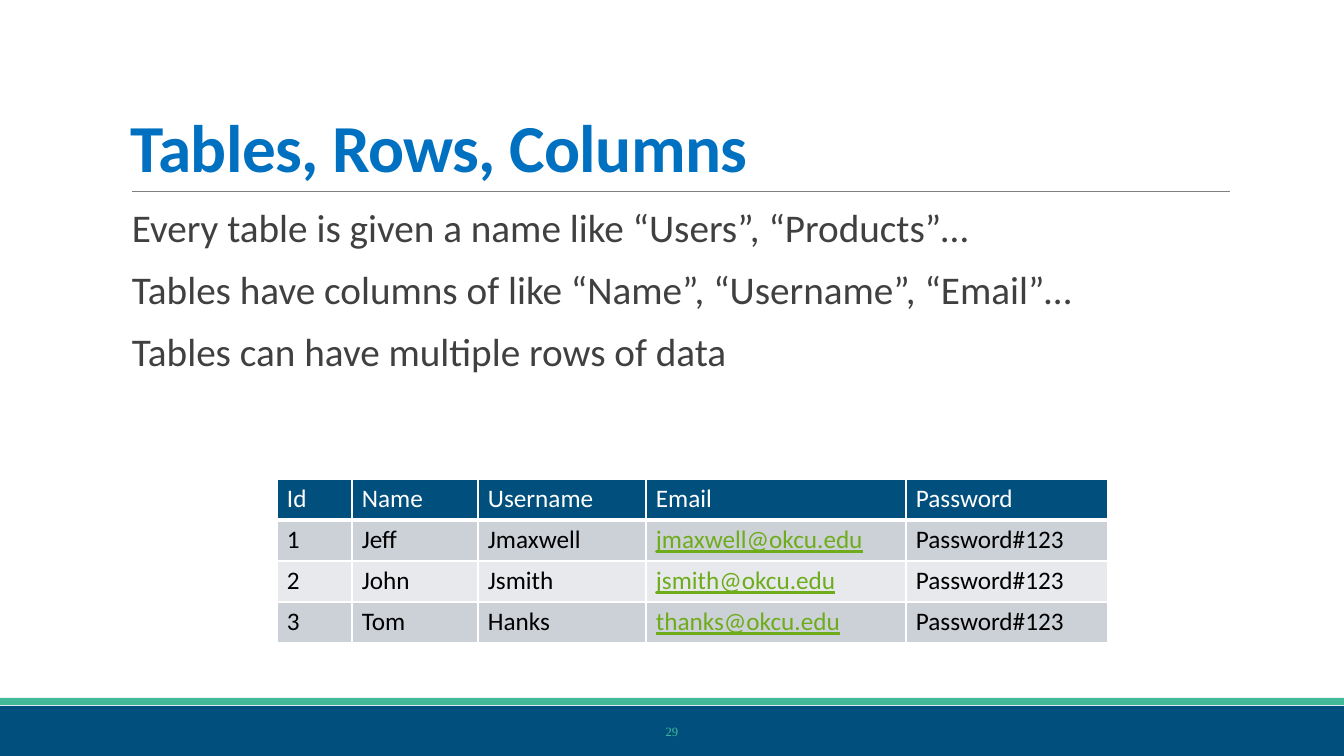
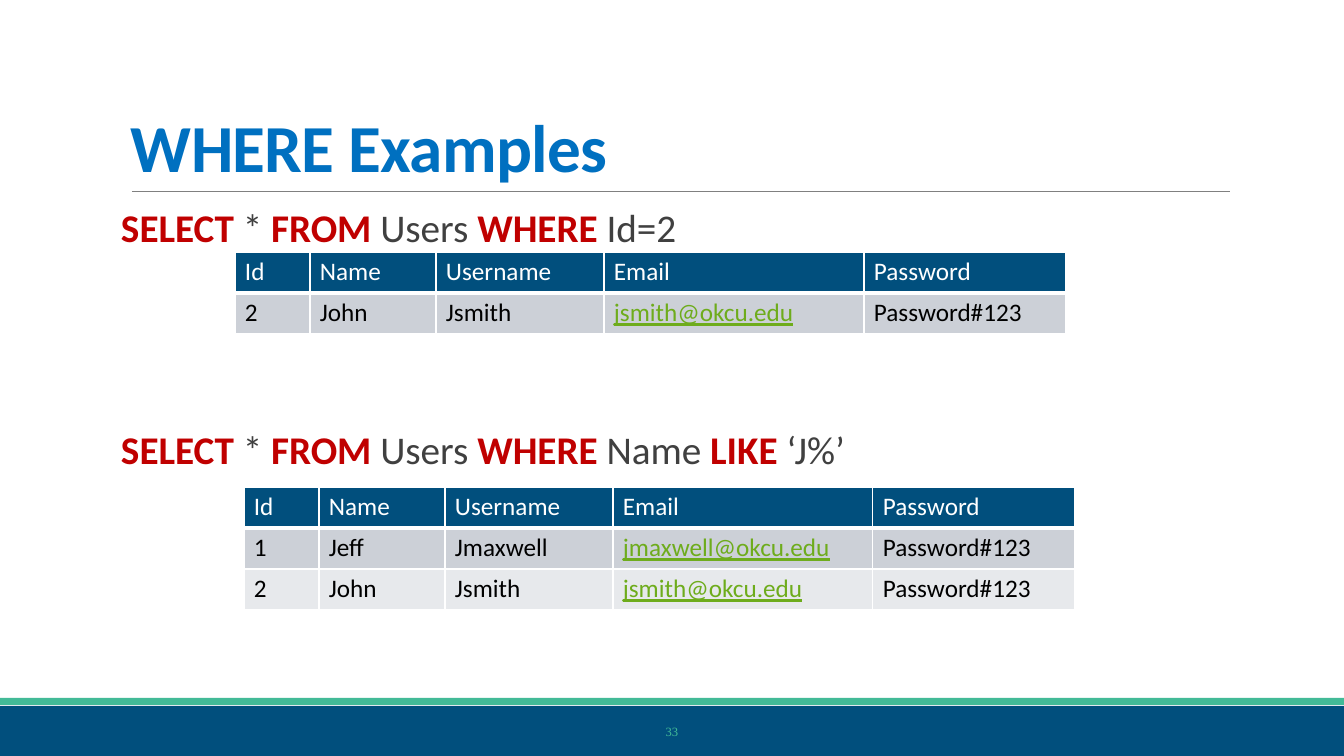
from collections import namedtuple

from lxml.etree import SubElement
from pptx import Presentation
from pptx.dml.color import RGBColor
from pptx.enum.shapes import MSO_CONNECTOR as Connector, MSO_SHAPE as Shape
from pptx.enum.text import MSO_ANCHOR as Anchor, PP_ALIGN as Align
from pptx.oxml import parse_xml
from pptx.oxml.ns import nsdecls, qn
from pptx.util import Pt

EMU_PER_PX = 914400 / 100.8
Box = namedtuple("Box", "left top width height")

WHITE = RGBColor(0xFF, 0xFF, 0xFF)
BLACK = RGBColor(0x00, 0x00, 0x00)
NAVY = RGBColor(0x01, 0x4F, 0x7D)
TEAL = RGBColor(0x42, 0xBA, 0x97)
RULE_GREY = RGBColor(0x80, 0x80, 0x80)
TITLE_BLUE = RGBColor(0x00, 0x70, 0xC0)
BODY_GREY = RGBColor(0x40, 0x40, 0x40)
KEYWORD_RED = RGBColor(0xC0, 0x00, 0x00)
EMAIL_GREEN = RGBColor(0x6E, 0xAC, 0x1C)
ROW_BANDS = (RGBColor(0xCC, 0xD0, 0xD7), RGBColor(0xE7, 0xE9, 0xEC))

BODY_FONT = "Calibri"
NUMBER_FONT = "Times New Roman"

SLIDE = Box(0, 0, 1344, 756)
TITLE = Box(121, 31, 1109, 160)
FOOTER = Box(0, 698, 1344, 58)
COLUMN_WIDTHS = (75, 126, 168, 260, 202)
ROW_HEIGHT = 41

COLUMNS = ("Id", "Name", "Username", "Email", "Password")
JEFF = ("1", "Jeff", "Jmaxwell", "jmaxwell@okcu.edu", "Password#123")
JOHN = ("2", "John", "Jsmith", "jsmith@okcu.edu", "Password#123")
TOM = ("3", "Tom", "Hanks", "thanks@okcu.edu", "Password#123")
SQL_KEYWORDS = {"SELECT", "FROM", "WHERE", "LIKE"}


def px(length):
    return round(length * EMU_PER_PX)


def place(box):
    return [px(length) for length in box]


def style(font, size, color, name=BODY_FONT, bold=False):
    font.size = Pt(size)
    font.name = name
    font.bold = bold
    font.color.rgb = color


def add_text_frame(slide, box, anchor=Anchor.TOP, inset=10):
    frame = slide.shapes.add_textbox(*place(box)).text_frame
    frame.word_wrap = True
    frame.vertical_anchor = anchor
    frame.margin_left = frame.margin_right = px(inset)
    frame.margin_top = frame.margin_bottom = px(5)
    return frame


def add_band(slide, box, color):
    band = slide.shapes.add_shape(Shape.RECTANGLE, *place(box))
    band.shadow.inherit = False
    band.fill.solid()
    band.fill.fore_color.rgb = color
    band.line.fill.background()


def add_footer(slide, box, number):
    stripe = 8
    add_band(slide, Box(box.left, box.top + stripe, box.width, box.height - stripe), NAVY)
    add_band(slide, Box(box.left, box.top, box.width, stripe - 1), TEAL)
    number_box = Box(box.left + 406, box.top + 14, box.width - 2 * 406, 40)
    page = add_text_frame(slide, number_box, Anchor.MIDDLE).paragraphs[0]
    page.text = str(number)
    page.alignment = Align.CENTER
    style(page.font, 9, TEAL, NUMBER_FONT)


def add_title(slide, box, text):
    bottom = box.top + box.height
    rule = slide.shapes.add_connector(
        Connector.STRAIGHT, px(box.left + 11), px(bottom), px(box.left + box.width), px(bottom))
    rule.line.color.rgb = RULE_GREY
    rule.line.width = Pt(0.5)
    SubElement(rule._element.spPr, qn("a:effectLst"))
    heading = add_text_frame(slide, box, Anchor.BOTTOM).paragraphs[0]
    heading.text = text
    heading.line_spacing = 0.85
    style(heading.font, 48, TITLE_BLUE, bold=True)
    heading._p.pPr.find(qn("a:defRPr")).set("spc", "-50")


def add_statements(slide, box, statements):
    frame = add_text_frame(slide, box, inset=0)
    for index, statement in enumerate(statements):
        line = frame.add_paragraph() if index else frame.paragraphs[0]
        line.text = statement
        line.line_spacing = 0.9
        line.space_before = Pt(12 if index else 0)
        line.space_after = Pt(2)
        style(line.font, 28, BODY_GREY)


def add_query(slide, box, query):
    line = add_text_frame(slide, box, inset=0).paragraphs[0]
    line.line_spacing = 0.9
    style(line.font, 28, BODY_GREY)
    words = query.split(" ")
    for index, word in enumerate(words):
        run = line.add_run()
        run.text = word if index == len(words) - 1 else word + " "
        if word in SQL_KEYWORDS:
            run.font.bold = True
            run.font.color.rgb = KEYWORD_RED


def set_borders(cell, bottom):
    properties = cell._tc.get_or_add_tcPr()
    widths = {"lnL": 1, "lnR": 1, "lnT": 1, "lnB": bottom}
    for index, (side, width) in enumerate(widths.items()):
        properties.insert(index, parse_xml(
            f'<a:{side} {nsdecls("a")} w="{Pt(width)}"><a:solidFill>'
            f'<a:srgbClr val="{WHITE}"/></a:solidFill></a:{side}>'))


def fill_cell(cell, text, fill, color, bottom):
    cell.fill.solid()
    cell.fill.fore_color.rgb = fill
    cell.margin_left = cell.margin_right = px(10)
    cell.margin_top = cell.margin_bottom = px(5)
    set_borders(cell, bottom)
    entry = cell.text_frame.paragraphs[0]
    entry.text = text
    is_email = "@" in text
    style(entry.font, 18, EMAIL_GREEN if is_email else color)
    entry.font.underline = is_email


def add_users_table(slide, left, top, users):
    rows = [COLUMNS, *users]
    box = Box(left, top, sum(COLUMN_WIDTHS), ROW_HEIGHT * len(rows))
    table = slide.shapes.add_table(len(rows), len(COLUMNS), *place(box)).table
    table.horz_banding = False
    for column, width in zip(table.columns, COLUMN_WIDTHS):
        column.width = px(width)
    for index, (row, values) in enumerate(zip(table.rows, rows)):
        row.height = px(ROW_HEIGHT)
        if index:
            look = (ROW_BANDS[(index - 1) % 2], BLACK, 1)
        else:
            look = (NAVY, WHITE, 3)
        for cell, value in zip(row.cells, values):
            fill_cell(cell, value, *look)


def add_base_slide(deck, title, number):
    slide = deck.slides.add_slide(deck.slide_layouts[6])
    add_footer(slide, FOOTER, number)
    add_title(slide, TITLE, title)
    return slide


def build_tables_slide(deck):
    slide = add_base_slide(deck, "Tables, Rows, Columns", 29)
    add_statements(slide, Box(132, 204, 1098, 200), (
        "Every table is given a name like “Users”, “Products”…",
        "Tables have columns of like “Name”, “Username”, “Email”…",
        "Tables can have multiple rows of data",
    ))
    add_users_table(slide, 277, 479, (JEFF, JOHN, TOM))


def build_where_slide(deck):
    slide = add_base_slide(deck, "WHERE Examples", 33)
    add_query(slide, Box(121, 204, 1109, 48), "SELECT * FROM Users WHERE Id=2")
    add_users_table(slide, 235, 252, (JOHN,))
    add_query(slide, Box(121, 426, 1109, 48), "SELECT * FROM Users WHERE Name LIKE ‘J%’")
    add_users_table(slide, 244, 487, (JEFF, JOHN))


def main():
    deck = Presentation()
    deck.slide_width = px(SLIDE.width)
    deck.slide_height = px(SLIDE.height)
    build_tables_slide(deck)
    build_where_slide(deck)
    deck.save("out.pptx")


if __name__ == "__main__":
    main()
